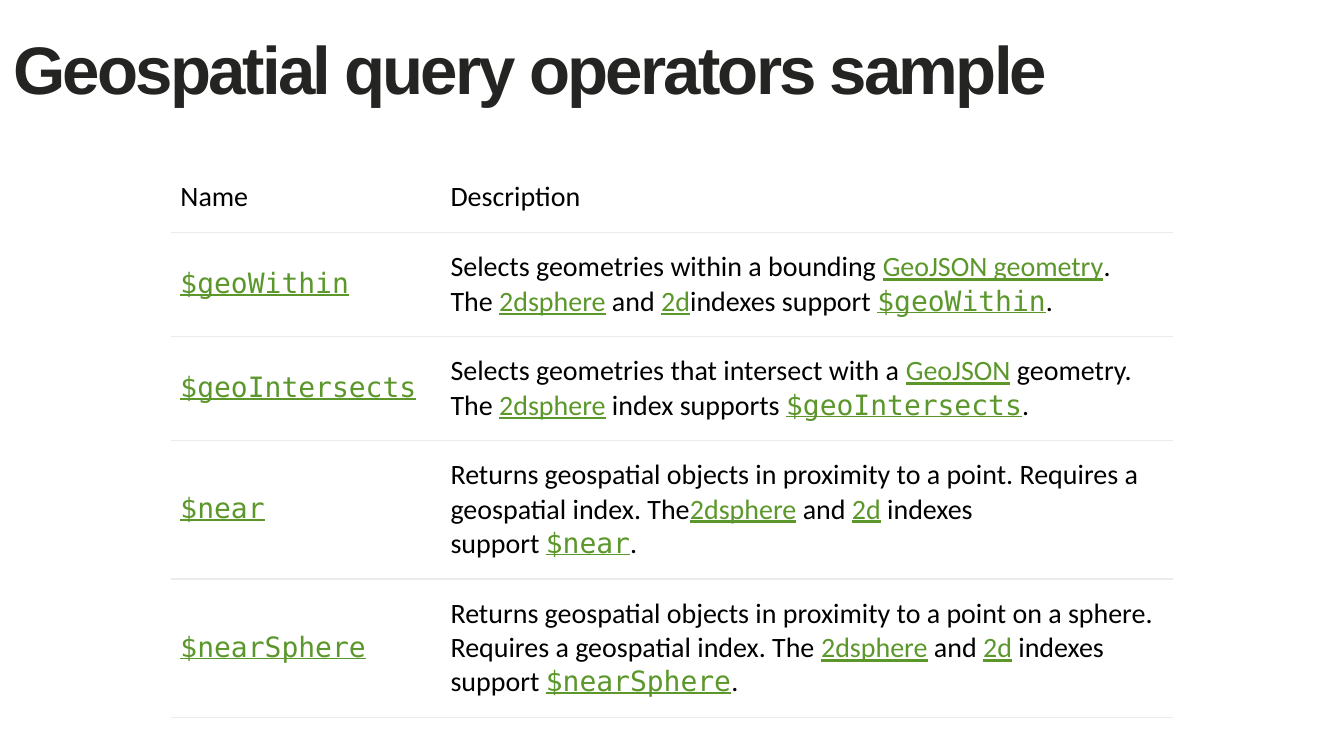
from lxml.etree import SubElement as Sub
from pptx import Presentation as Deck
from pptx.dml.color import RGBColor as RGB
from pptx.enum.text import MSO_ANCHOR as Anchor
from pptx.oxml.ns import qn
from pptx.util import Pt

COLORS = {"title": "242423", "text": "000000", "link": "5B972B",
          "rule": "EBEBED", "fill": "FFFFFF"}
SANS, MONO = "Calibri", "DejaVu Sans Mono"
WIDTHS = [144.7, 391]
HEIGHTS = [31, 55.7, 55.7, 74.2, 74.2]
ROWS = [
    ("Name", "Description"),
    ("|$geoWithin|",
     "Selects geometries within a bounding~|GeoJSON geometry|. The~|2dsphere|"
     "~and~|2d|indexes support~|$geoWithin|."),
    ("|$geoIntersects|",
     "Selects geometries that intersect with a~|GeoJSON|~geometry. The~"
     "|2dsphere|~index supports~|$geoIntersects|."),
    ("|$near|",
     "Returns geospatial objects in proximity to a point. Requires a geospatial "
     "index. The|2dsphere|~and~|2d|~indexes support~|$near|."),
    ("|$nearSphere|",
     "Returns geospatial objects in proximity to a point on a sphere. Requires a "
     "geospatial index. The~|2dsphere|~and~|2d|~indexes support~|$nearSphere|."),
]


def color(name):
    """Return a named colour."""
    return RGB.from_string(COLORS[name])


def add_title(slide, text):
    """Add the bold heading with tight letter spacing."""
    box = slide.shapes.add_textbox(Pt(0), Pt(2), Pt(648), Pt(68))
    frame = box.text_frame
    frame.word_wrap = True
    frame.vertical_anchor = Anchor.MIDDLE
    para = frame.paragraphs[0]
    run = para.add_run()
    run.text = text
    run._r.get_or_add_rPr().set("spc", "-150")
    font = para.font
    font.name, font.size, font.bold = "Arial", Pt(36), True
    font.color.rgb = color("title")


def add_runs(para, text):
    """Fill a paragraph, with links between bars and ~ as a hard space."""
    for i, part in enumerate(text.replace("~", chr(160)).split("|")):
        if not part:
            continue
        link = i % 2 == 1
        run = para.add_run()
        run.text = part
        font = run.font
        font.size = Pt(15)
        font.name = MONO if part.startswith("$") else SANS
        font.color.rgb = color("link" if link else "text")
        if link:
            font.underline = True


def add_rule(cell, side):
    """Draw a thin border on the top or bottom of a cell."""
    props = cell._tc.get_or_add_tcPr()
    line = Sub(props, qn("a:ln" + side), w=str(Pt(1)))
    fill = Sub(line, qn("a:solidFill"))
    Sub(fill, qn("a:srgbClr"), val=COLORS["rule"])


def fill_cell(cell, text, head):
    """Set the text, margins, borders and fill of a cell."""
    cell.vertical_anchor = Anchor.MIDDLE
    cell.margin_left = cell.margin_right = Pt(4.5)
    cell.margin_top = Pt(3 if head else 9.5)
    cell.margin_bottom = Pt(10)
    add_runs(cell.text_frame.paragraphs[0], text)
    for side in "B" if head else "TB":
        add_rule(cell, side)
    cell.fill.solid()
    cell.fill.fore_color.rgb = color("fill")


def add_grid(slide):
    """Add the table of operators."""
    frame = slide.shapes.add_table(len(ROWS), len(WIDTHS), Pt(92.2), Pt(93.6),
                                   Pt(sum(WIDTHS)), Pt(sum(HEIGHTS)))
    table = frame.table
    table.first_row = table.horz_banding = False
    for col, width in zip(table.columns, WIDTHS):
        col.width = Pt(width)
    for r, (row, height) in enumerate(zip(table.rows, HEIGHTS)):
        row.height = Pt(height)
        for cell, text in zip(row.cells, ROWS[r]):
            fill_cell(cell, text, r == 0)


def main():
    """Build and save the slide."""
    deck = Deck()
    deck.slide_width, deck.slide_height = Pt(720), Pt(405)
    slide = deck.slides.add_slide(deck.slide_layouts[6])
    add_title(slide, "Geospatial query operators sample")
    add_grid(slide)
    deck.save("out.pptx")


if __name__ == "__main__":
    main()
